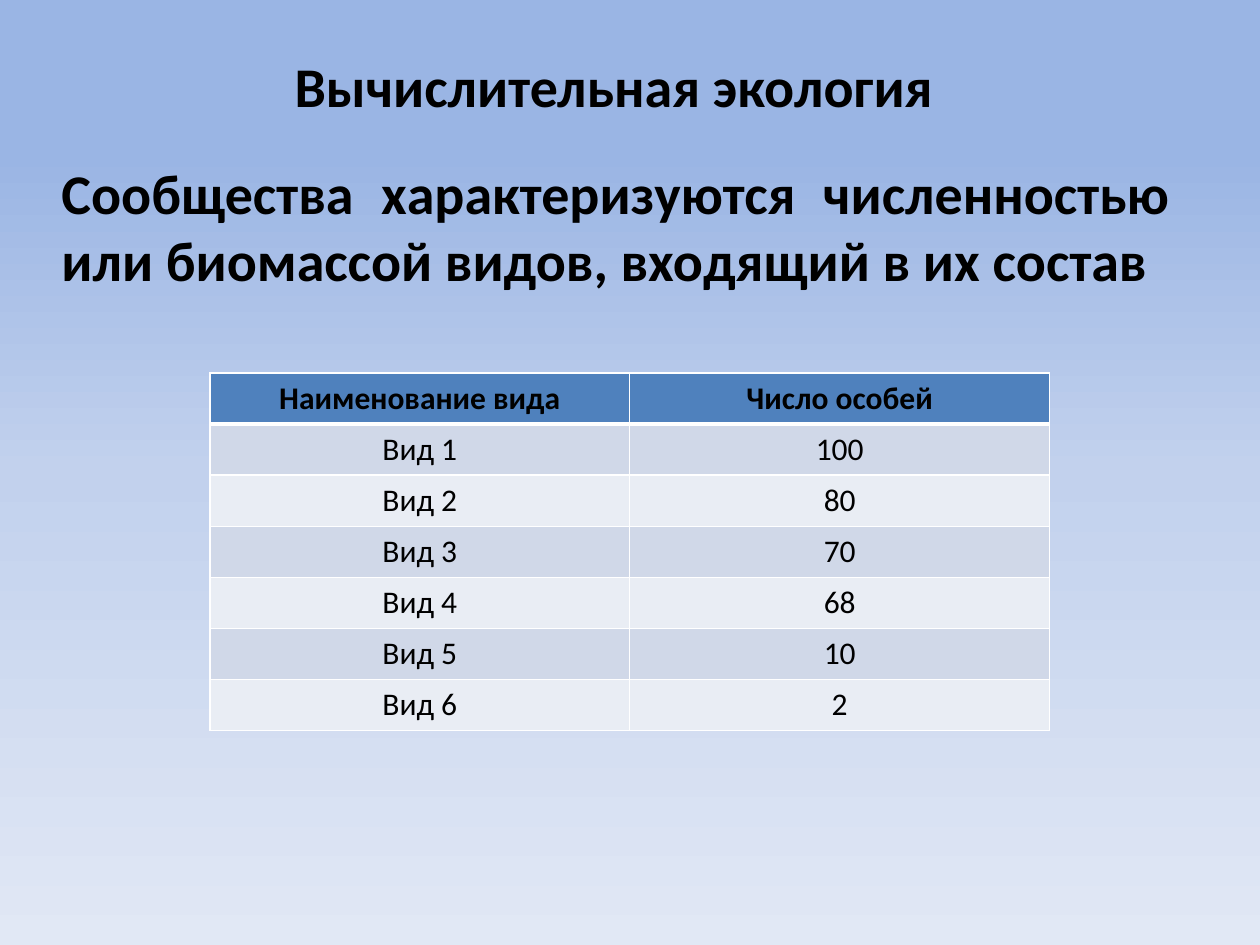
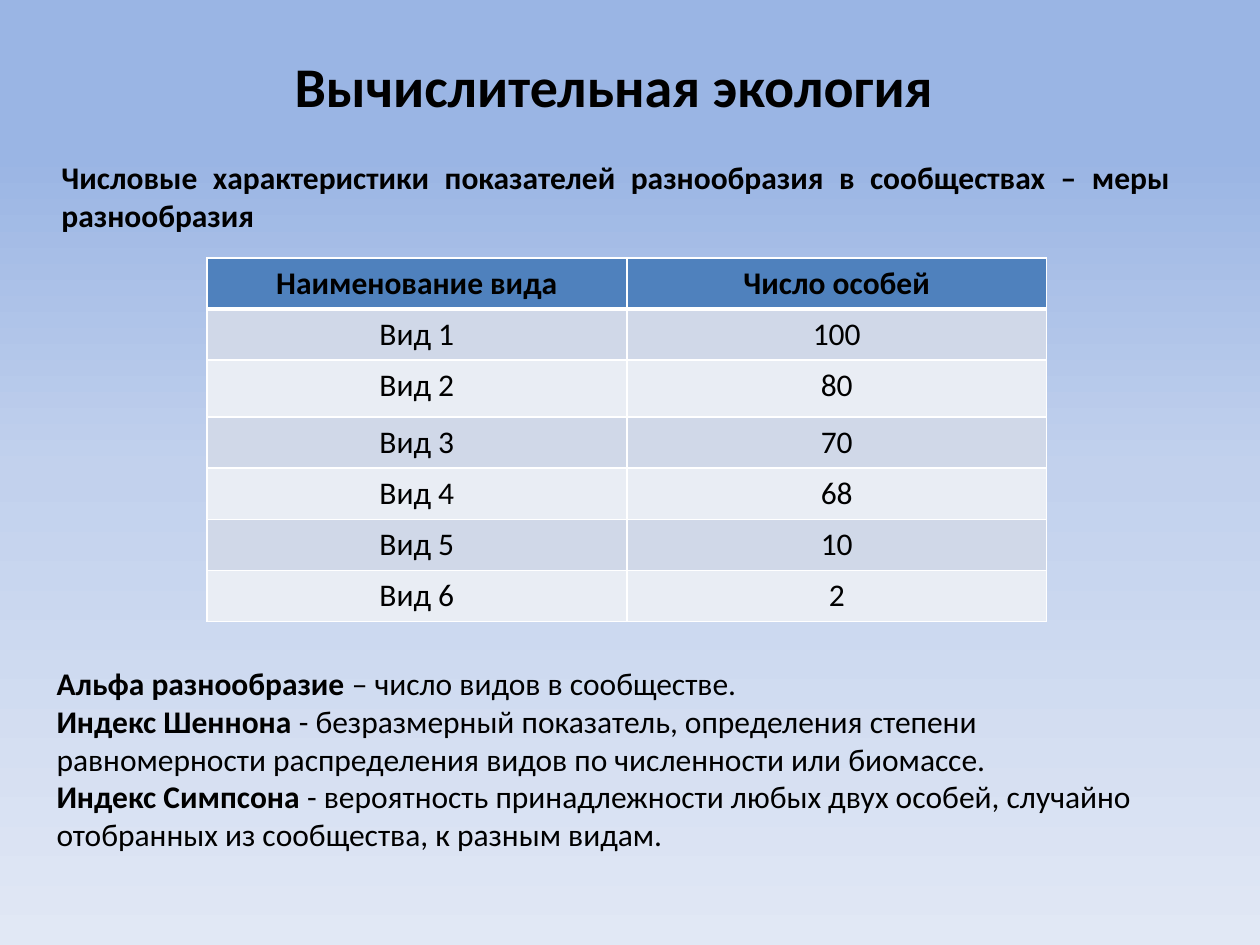
from copy import deepcopy
from dataclasses import dataclass

from lxml import etree
from pptx import Presentation
from pptx.dml.color import RGBColor
from pptx.enum.text import MSO_AUTO_SIZE, PP_ALIGN
from pptx.oxml.ns import qn
from pptx.util import Cm, Pt

LEFT, MID, FULL = PP_ALIGN.LEFT, PP_ALIGN.CENTER, PP_ALIGN.JUSTIFY
GROW, FIXED = MSO_AUTO_SIZE.SHAPE_TO_FIT_TEXT, MSO_AUTO_SIZE.NONE


@dataclass(frozen=True)
class Theme:
    font: str = "Calibri"
    ink: str = "000000"
    head: str = "4F81BD"
    bands: tuple = ("D0D8E8", "E9EDF4")
    line: str = "FFFFFF"
    sky: tuple = ((0.16, "9AB5E4"), (0.5, "C2D1ED"), (1, "E1E8F5"))
    big: int = 32
    small: int = 18
    thin: int = 1
    thick: int = 3


THEME = Theme()
TITLE = "Вычислительная экология"
ROWS = [("Наименование вида", "Число особей")] + [
    (f"Вид {i}", str(count))
    for i, count in enumerate((100, 80, 70, 68, 10, 2), 1)
]
TERMS = [
    [("Альфа разнообразие ", True), ("– число видов в сообществе.", False)],
    [("Индекс Шеннона ", True),
     ("- безразмерный показатель, определения степени равномерности "
      "распределения видов по численности или биомассе.", False)],
    [("Индекс Симпсона", True),
     (" - вероятность принадлежности любых двух особей, случайно "
      "отобранных из сообщества, к разным видам.", False)],
]


def write(frame, text, size=THEME.small, bold=False, align=LEFT):
    paras = [[(text, bold)]] if isinstance(text, str) else text
    for i, runs in enumerate(paras):
        para = frame.add_paragraph() if i else frame.paragraphs[0]
        para.alignment = align
        for words, heavy in runs:
            run = para.add_run()
            run.text = words
            font = run.font
            font.name, font.size, font.bold = THEME.font, Pt(size), heavy
            font.color.rgb = RGBColor.from_string(THEME.ink)


def add_text(slide, box, text, wrap=True, fit=GROW, **style):
    frame = slide.shapes.add_textbox(*map(Cm, box)).text_frame
    frame.word_wrap, frame.auto_size = wrap, fit
    write(frame, text, **style)


def set_edges(cell, **widths):
    props = cell._tc.get_or_add_tcPr()
    for side in "LRTB":
        width = Pt(widths.get(side, THEME.thin))
        line = etree.SubElement(props, qn(f"a:ln{side}"), w=str(width))
        fill = etree.SubElement(line, qn("a:solidFill"))
        etree.SubElement(fill, qn("a:srgbClr"), val=THEME.line)


def add_grid(slide, box, rows, tall=None):
    left, top, width, high = box
    tall = tall or {}
    size = map(Cm, (left, top, width, high * len(rows)))
    grid = slide.shapes.add_table(len(rows), len(rows[0]), *size).table
    for r, row in enumerate(rows):
        grid.rows[r].height = Cm(tall.get(r, high))
        shade = THEME.bands[(r - 1) % 2] if r else THEME.head
        edges = {0: {"B": THEME.thick}, 1: {"T": THEME.thick}}.get(r, {})
        for c, words in enumerate(row):
            cell = grid.cell(r, c)
            set_edges(cell, **edges)
            cell.fill.solid()
            cell.fill.fore_color.rgb = RGBColor.from_string(shade)
            write(cell.text_frame, words, bold=r == 0, align=MID)


def paint_sky(master):
    fill = master.background.fill
    fill.gradient()
    fill.gradient_angle = 270
    stops = master.element.find(f".//{qn('a:gsLst')}")
    stops.append(deepcopy(stops[-1]))
    for stop, (place, shade) in zip(fill.gradient_stops, THEME.sky):
        stop.position = place
        stop.color.rgb = RGBColor.from_string(shade)


def add_page(deck, lead, size):
    slide = deck.slides.add_slide(deck.slide_layouts[6])
    add_text(slide, (0.99, 3.07, 22.86, 3.45), lead, fit=FIXED,
             size=size, bold=True, align=FULL)
    add_text(slide, (5.69, 0.91, 13.51, 1.63), TITLE, wrap=False,
             size=THEME.big, bold=True)
    return slide


deck = Presentation()
deck.slide_width, deck.slide_height = Cm(25.4), Cm(19.05)
paint_sky(deck.slide_master)

page = add_page(deck, "Сообщества характеризуются численностью или биомассой "
                "видов, входящий в их состав", THEME.big)
add_grid(page, (4.23, 7.52, 16.93, 1.03), ROWS)

page = add_page(deck, "Числовые характеристики показателей разнообразия "
                "в сообществах – меры разнообразия", THEME.small)
add_grid(page, (4.17, 5.2, 16.93, 1.03), ROWS, tall={2: 1.15})
add_text(page, (0.89, 13.26, 22.6, 4.88), TERMS)

deck.save("out.pptx")
